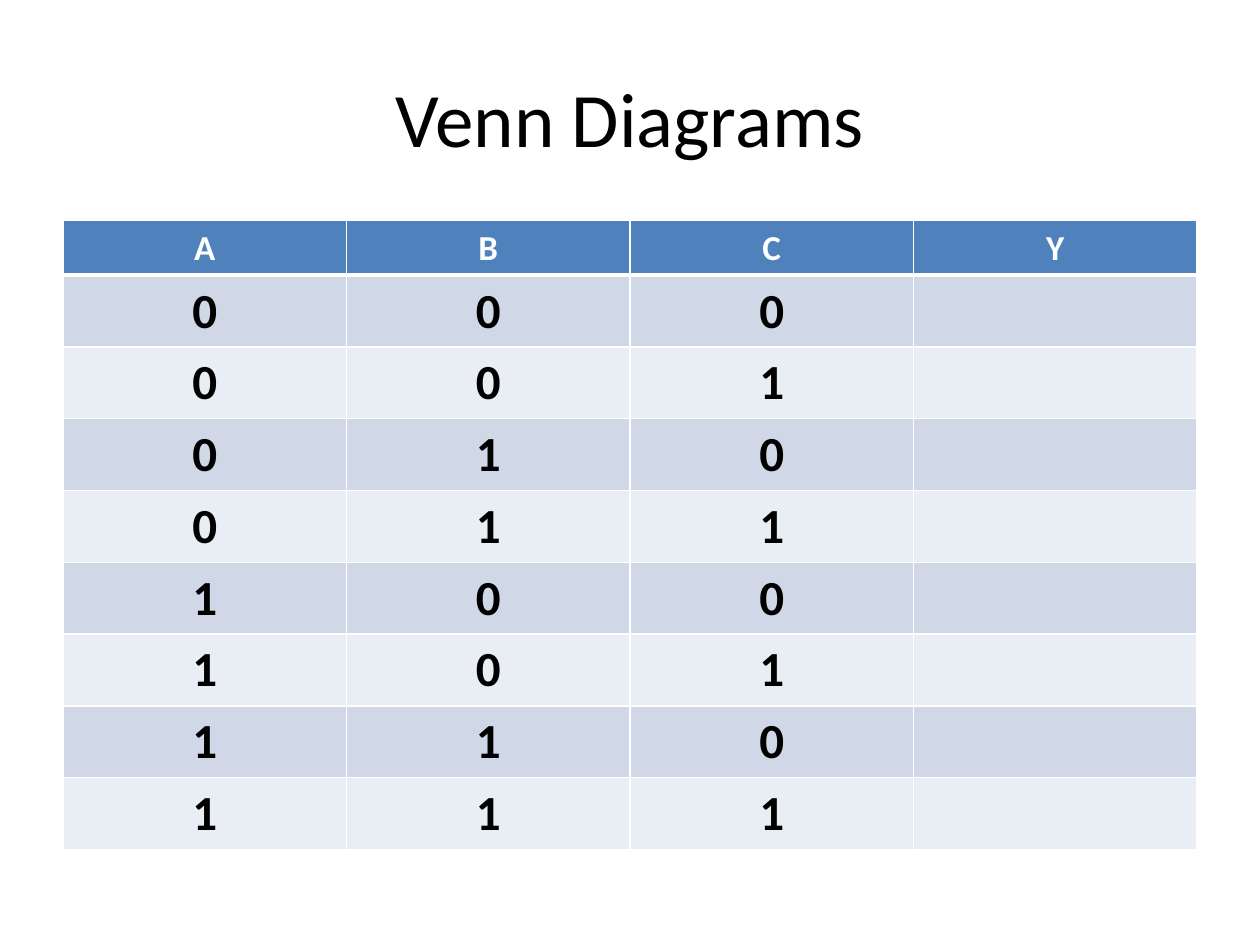
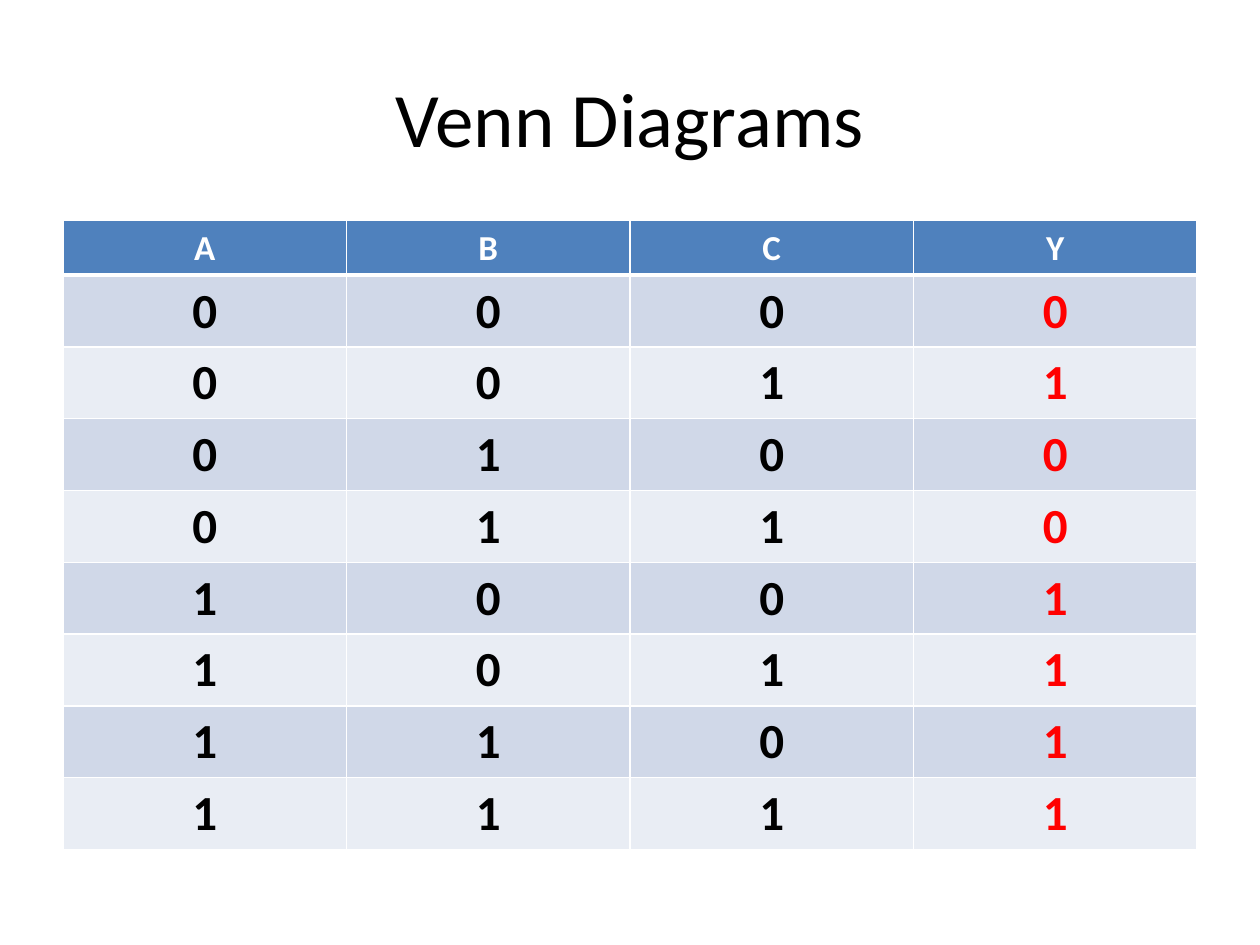
from dataclasses import dataclass
from itertools import product

from lxml.etree import SubElement
from pptx import Presentation
from pptx.dml.color import RGBColor
from pptx.enum.text import MSO_ANCHOR as Anchor, PP_ALIGN as Align
from pptx.oxml.ns import qn
from pptx.util import Inches, Pt

FONT = "Calibri"
BLACK, WHITE, RED = "000000", "FFFFFF", "FF0000"
HEADER_FILL = "4F81BD"
BAND_FILLS = ("D0D8E8", "E9EDF4")
TITLE = "Venn Diagrams"
INPUTS = ("A", "B", "C")
OUTPUT = "Y"
LEFT, WIDTH = 0.5, 9
TABLE_TOP, HEADER_H, ROW_H = 1.75, 0.43, 0.57


@dataclass(frozen=True)
class TruthTable:
    """Output column of a truth table, one character per input row."""
    outputs: str = ""


TABLES = (TruthTable(), TruthTable("01001111"))


def rgb(color: str) -> RGBColor:
    """Return the colour for a hex string."""
    return RGBColor.from_string(color)


def write(tf, text: str, *, size: float, color: str = BLACK, bold: bool = False) -> None:
    """Write one centred, formatted line into a text frame."""
    p = tf.paragraphs[0]
    p.alignment = Align.CENTER
    r = p.add_run()
    r.text = text
    r.font.name = FONT
    r.font.size = Pt(size)
    r.font.bold = bold
    r.font.color.rgb = rgb(color)


def set_borders(cell, *, top: float = 1, bottom: float = 1) -> None:
    """Give a cell white borders, with widths in points."""
    tcPr = cell._tc.get_or_add_tcPr()
    for side, width in (("L", 1), ("R", 1), ("T", top), ("B", bottom)):
        ln = SubElement(tcPr, qn(f"a:ln{side}"), w=str(Pt(width)))
        fill = SubElement(ln, qn("a:solidFill"))
        SubElement(fill, qn("a:srgbClr"), val=WHITE)


def fill_cell(cell, color: str) -> None:
    """Fill a cell with a solid colour."""
    cell.fill.solid()
    cell.fill.fore_color.rgb = rgb(color)


def add_title(s, text: str) -> None:
    """Add the centred slide title."""
    sp = s.shapes.add_textbox(Inches(LEFT), Inches(0.3), Inches(WIDTH), Inches(1.25))
    tf = sp.text_frame
    tf.word_wrap = True
    tf.vertical_anchor = Anchor.MIDDLE
    write(tf, text, size=44)


def add_truth_table(s, truth: TruthTable) -> None:
    """Add the table of all input combinations with their outputs."""
    heads = (*INPUTS, OUTPUT)
    combos = list(product("01", repeat=len(INPUTS)))
    height = HEADER_H + ROW_H * len(combos)
    table = s.shapes.add_table(
        len(combos) + 1, len(heads),
        Inches(LEFT), Inches(TABLE_TOP), Inches(WIDTH), Inches(height),
    ).table

    table.rows[0].height = Inches(HEADER_H)
    for col, head in enumerate(heads):
        cell = table.cell(0, col)
        set_borders(cell, bottom=3)
        fill_cell(cell, HEADER_FILL)
        write(cell.text_frame, head, size=20, color=WHITE, bold=True)

    outputs = truth.outputs or [""] * len(combos)
    for row, (combo, output) in enumerate(zip(combos, outputs), start=1):
        table.rows[row].height = Inches(ROW_H)
        for col, value in enumerate((*combo, output)):
            cell = table.cell(row, col)
            set_borders(cell, top=3 if row == 1 else 1)
            fill_cell(cell, BAND_FILLS[(row - 1) % 2])
            if value:
                color = RED if heads[col] == OUTPUT else BLACK
                write(cell.text_frame, value, size=28, color=color, bold=True)


def main() -> None:
    """Build both slides and save the presentation."""
    prs = Presentation()
    prs.slide_width, prs.slide_height = Inches(10), Inches(7.5)
    for truth in TABLES:
        s = prs.slides.add_slide(prs.slide_layouts[6])
        add_title(s, TITLE)
        add_truth_table(s, truth)
    prs.save("out.pptx")


if __name__ == "__main__":
    main()
